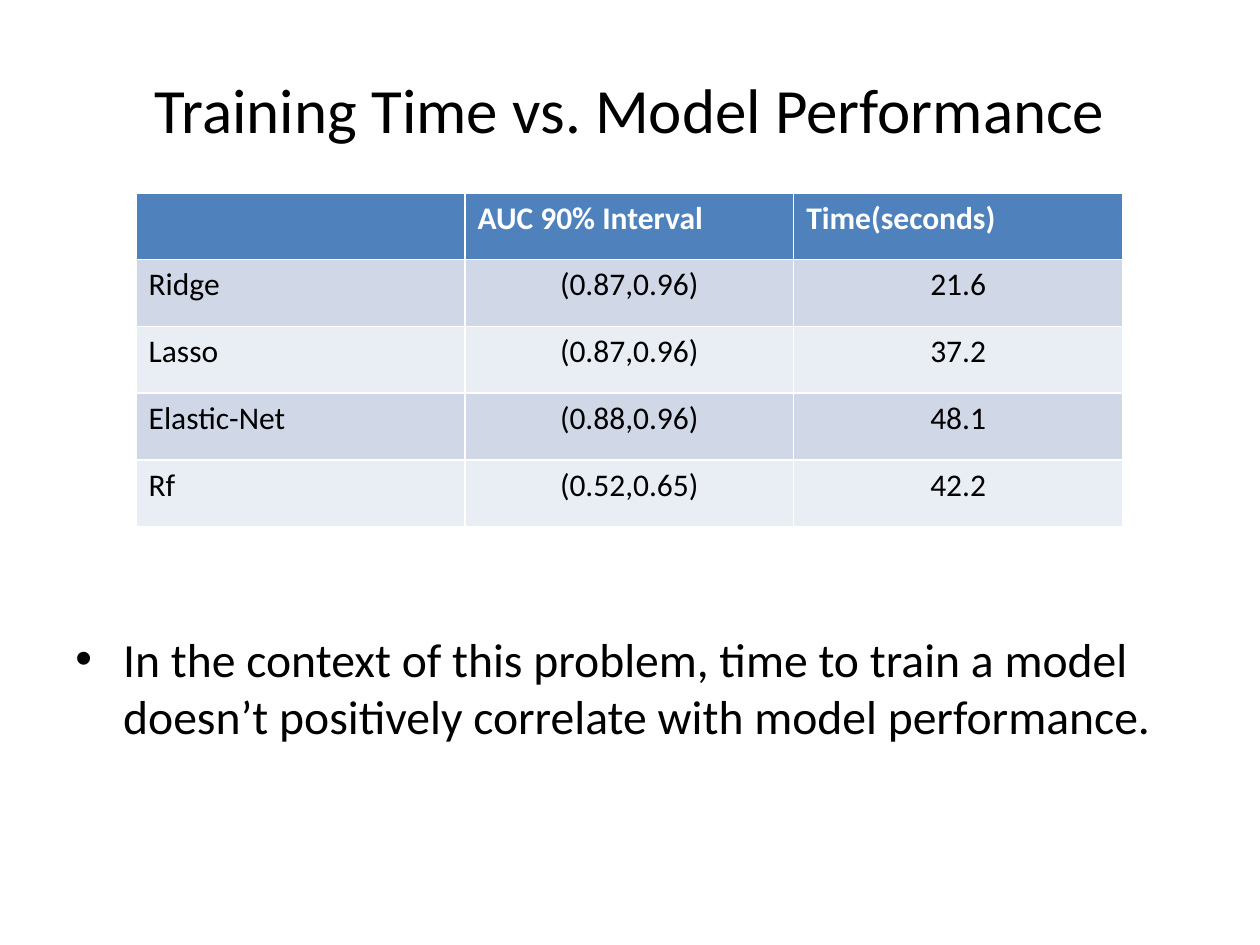
from lxml import etree
from pptx import Presentation
from pptx.dml.color import RGBColor
from pptx.enum.text import MSO_ANCHOR, PP_ALIGN
from pptx.oxml.ns import qn
from pptx.util import Inches, Pt

LEFT, CENTER = PP_ALIGN.LEFT, PP_ALIGN.CENTER
MIDDLE, TOP = MSO_ANCHOR.MIDDLE, MSO_ANCHOR.TOP
FONT = "Calibri"
BLACK = RGBColor(0x00, 0x00, 0x00)
WHITE = RGBColor(0xFF, 0xFF, 0xFF)
HEADER_BLUE = RGBColor(0x4F, 0x81, 0xBD)
BANDS = (RGBColor(0xD0, 0xD8, 0xE8), RGBColor(0xE9, 0xED, 0xF4))

TITLE = "Training Time vs. Model Performance"
HEADER = ("", "AUC 90% Interval", "Time(seconds)")
MODELS = [
    ("Ridge", "(0.87,0.96)", "21.6"),
    ("Lasso", "(0.87,0.96)", "37.2"),
    ("Elastic-Net", "(0.88,0.96)", "48.1"),
    ("Rf", "(0.52,0.65)", "42.2"),
]
CONCLUSION = ("In the context of this problem, time to train a model "
              "doesn’t positively correlate with model performance.")

COLUMN_WIDTH, ROW_HEIGHT = 2.61, 0.53


def place(shape, left, top, width, height):
    shape.left, shape.top = Inches(left), Inches(top)
    shape.width, shape.height = Inches(width), Inches(height)


def write(frame, text, size, color=BLACK, bold=False, align=LEFT, anchor=TOP):
    frame.word_wrap = True
    frame.vertical_anchor = anchor
    paragraph = frame.paragraphs[0]
    paragraph.alignment = align
    if text:
        paragraph.text = text
    font = paragraph.font if not text else paragraph.runs[0].font
    font.name, font.size, font.bold = FONT, Pt(size), bold
    font.color.rgb = color
    return paragraph


def add_bullet(paragraph, indent):
    """Hang the paragraph behind a round bullet."""
    properties = paragraph._p.get_or_add_pPr()
    properties.set("marL", str(Inches(indent)))
    properties.set("indent", str(-Inches(indent)))
    etree.SubElement(properties, qn("a:buFont")).set("typeface", "Arial")
    etree.SubElement(properties, qn("a:buChar")).set("char", "•")


def add_results(slide):
    rows = [HEADER] + MODELS
    table = slide.shapes.add_table(
        len(rows), len(HEADER), Inches(1.08), Inches(1.53),
        Inches(COLUMN_WIDTH * len(HEADER)), Inches(ROW_HEIGHT * len(rows))).table
    for column in table.columns:
        column.width = Inches(COLUMN_WIDTH)
    for r, row in enumerate(rows):
        table.rows[r].height = Inches(ROW_HEIGHT)
        is_header = r == 0
        for c, text in enumerate(row):
            cell = table.cell(r, c)
            cell.fill.solid()
            cell.fill.fore_color.rgb = HEADER_BLUE if is_header else BANDS[(r - 1) % 2]
            write(cell.text_frame, text, 18, bold=is_header,
                  color=WHITE if is_header else BLACK,
                  align=LEFT if is_header or c == 0 else CENTER)


def main():
    deck = Presentation()
    deck.slide_width, deck.slide_height = Inches(10), Inches(7.5)
    slide = deck.slides.add_slide(deck.slide_layouts[5])

    title = slide.shapes.title
    place(title, 0.5, 0.3, 9, 1.12)
    write(title.text_frame, TITLE, 36, align=CENTER, anchor=MIDDLE)

    conclusion = slide.shapes.add_textbox(0, 0, 0, 0)
    place(conclusion, 0.5, 4.95, 9, 1.75)
    add_bullet(write(conclusion.text_frame, CONCLUSION, 27.2), 0.38)

    add_results(slide)
    deck.save("out.pptx")


if __name__ == "__main__":
    main()
